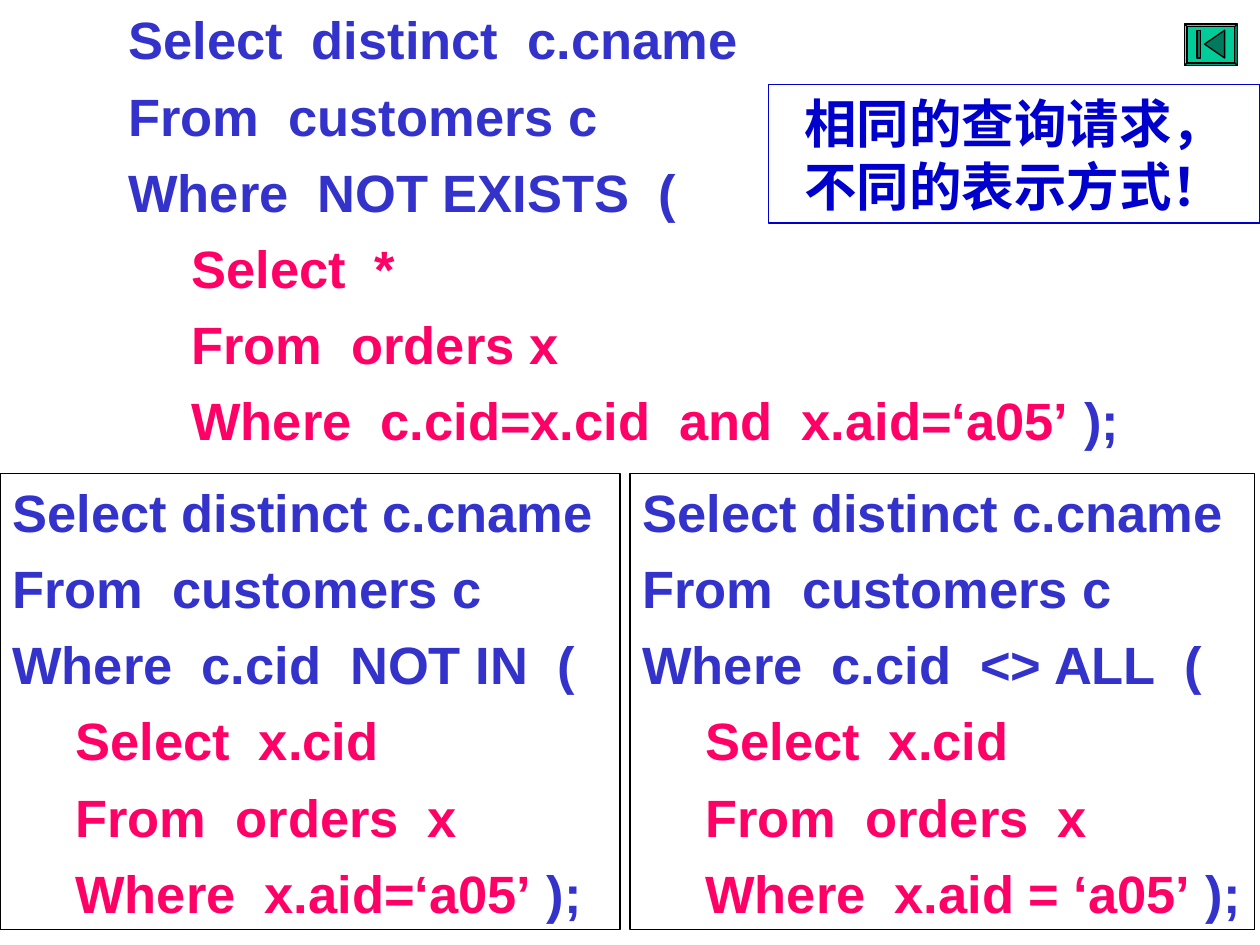
from pptx import Presentation
from pptx.dml.color import RGBColor
from pptx.enum.shapes import MSO_SHAPE as Shape
from pptx.enum.text import MSO_ANCHOR as Anchor, PP_ALIGN as Align
from pptx.util import Inches, Pt

BLUE = RGBColor(0x33, 0x33, 0xCC)
PINK = RGBColor(0xFF, 0x00, 0x66)
NAVY = RGBColor(0x00, 0x00, 0xCC)
GREEN = RGBColor(0x00, 0xCC, 0x99)
DARK = RGBColor(0x00, 0x7A, 0x5C)
BLACK = RGBColor(0x00, 0x00, 0x00)
WHITE = RGBColor(0xFF, 0xFF, 0xFF)

# Left margin and hanging indent of each text level
INDENTS = [(0.38, -0.38), (0.81, -0.31), (1.25, -0.25)]


def paint(shape, fill, line):
    shape.shadow.inherit = False
    if fill is None:
        shape.fill.background()
    else:
        shape.fill.solid()
        shape.fill.fore_color.rgb = fill
    shape.line.color.rgb = line
    shape.line.width = Pt(0.75)


def write_query(frame, outer, inner, level):
    """Write the outer query in blue and the subquery in pink, one level deeper."""
    frame.word_wrap = True
    frame.vertical_anchor = Anchor.TOP
    lines = [(text, level, BLUE) for text in outer]
    lines += [(text, level + 1, PINK) for text in inner]
    frame.text = "\n".join(text for text, _, _ in lines)
    for i, (para, (_, depth, color)) in enumerate(zip(frame.paragraphs, lines)):
        para.level = depth
        para.alignment = Align.LEFT
        if i:
            para.space_before = Pt(7.5)
        left, hang = INDENTS[depth]
        props = para._p.get_or_add_pPr()
        props.set("marL", str(Inches(left)))
        props.set("indent", str(Inches(hang)))
        para.runs[0].font.color.rgb = color
    end = para.add_run()
    end.text = " );"
    end.font.color.rgb = BLUE
    for para in frame.paragraphs:
        for run in para.runs:
            run.font.name = "Arial"
            run.font.size = Pt(30)
            run.font.bold = True


deck = Presentation()
deck.slide_width, deck.slide_height = Inches(10), Inches(7.5)
slide = deck.slides.add_slide(deck.slide_layouts[6])
shapes = slide.shapes

# Main query
main = shapes.add_textbox(Inches(0.42), Inches(0.01), Inches(9.31), Inches(3.58))
write_query(
    main.text_frame,
    ["Select  distinct  c.cname", "From  customers c", "Where  NOT EXISTS  ("],
    ["Select  *", "From  orders x", "Where  c.cid=x.cid  and  x.aid=‘a05’"],
    1,
)

# Two equivalent queries
variants = [
    (0, 4.92, "NOT IN", "Where  x.aid=‘a05’"),
    (5, 4.96, "<> ALL", "Where  x.aid = ‘a05’"),
]
for left, width, test, where in variants:
    box = shapes.add_shape(
        Shape.RECTANGLE, Inches(left), Inches(3.76), Inches(width), Inches(3.62))
    paint(box, None, BLACK)
    write_query(
        box.text_frame,
        ["Select distinct c.cname", "From  customers c", f"Where  c.cid  {test}  ("],
        ["Select  x.cid", "From  orders  x", where],
        0,
    )

# Back-to-start button
button = shapes.add_shape(
    Shape.BEVEL, Inches(9.4), Inches(0.19), Inches(0.42), Inches(0.33))
button.adjustments[0] = 0.06
paint(button, GREEN, BLACK)
marks = [
    [(9.56, 0.35), (9.72, 0.24), (9.72, 0.46)],
    [(9.5, 0.24), (9.53, 0.24), (9.53, 0.46), (9.5, 0.46)],
]
for points in marks:
    start, *rest = [(Inches(x), Inches(y)) for x, y in points]
    pen = shapes.build_freeform(*start)
    pen.add_line_segments(rest, close=True)
    paint(pen.convert_to_shape(), DARK, BLACK)

# Remark
note = shapes.add_shape(
    Shape.RECTANGLE, Inches(6.1), Inches(0.67), Inches(3.9), Inches(1.1))
paint(note, WHITE, NAVY)
frame = note.text_frame
frame.word_wrap = True
frame.vertical_anchor = Anchor.TOP
frame.text = "相同的查询请求，\n不同的表示方式！"
for para in frame.paragraphs:
    para.alignment = Align.CENTER
    font = para.runs[0].font
    font.name = "Times New Roman"
    font.size = Pt(30)
    font.bold = True
    font.color.rgb = NAVY

deck.save("out.pptx")
